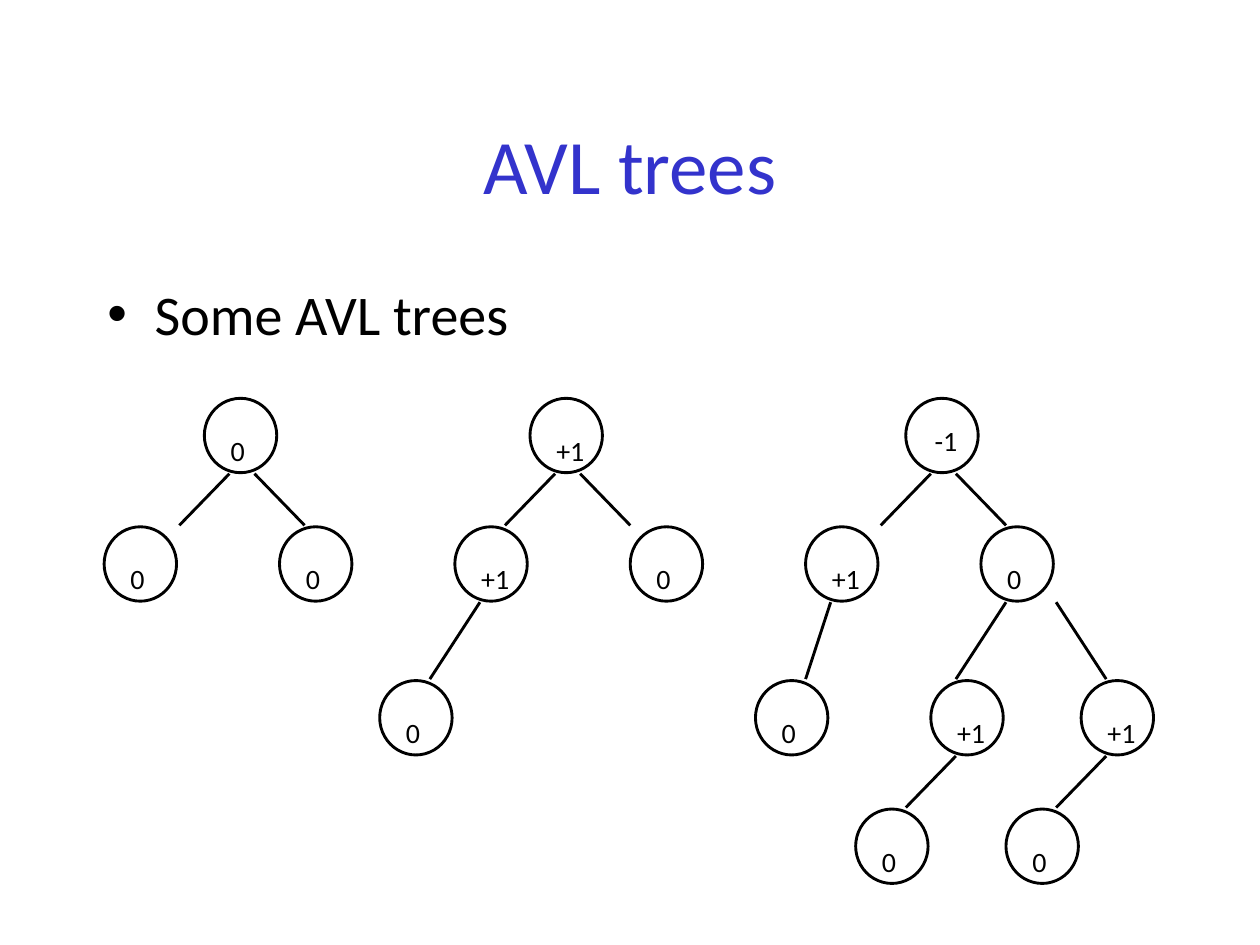
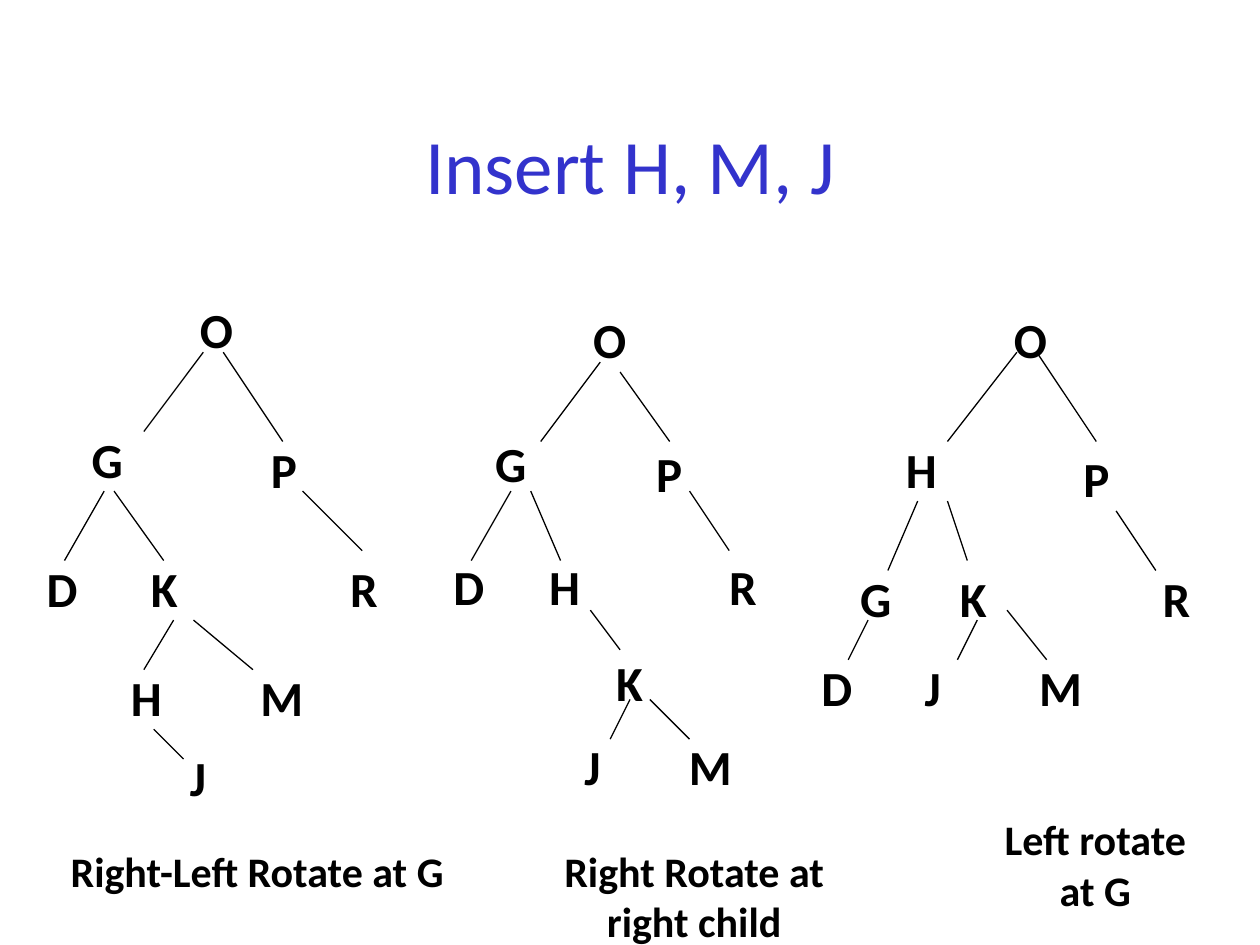
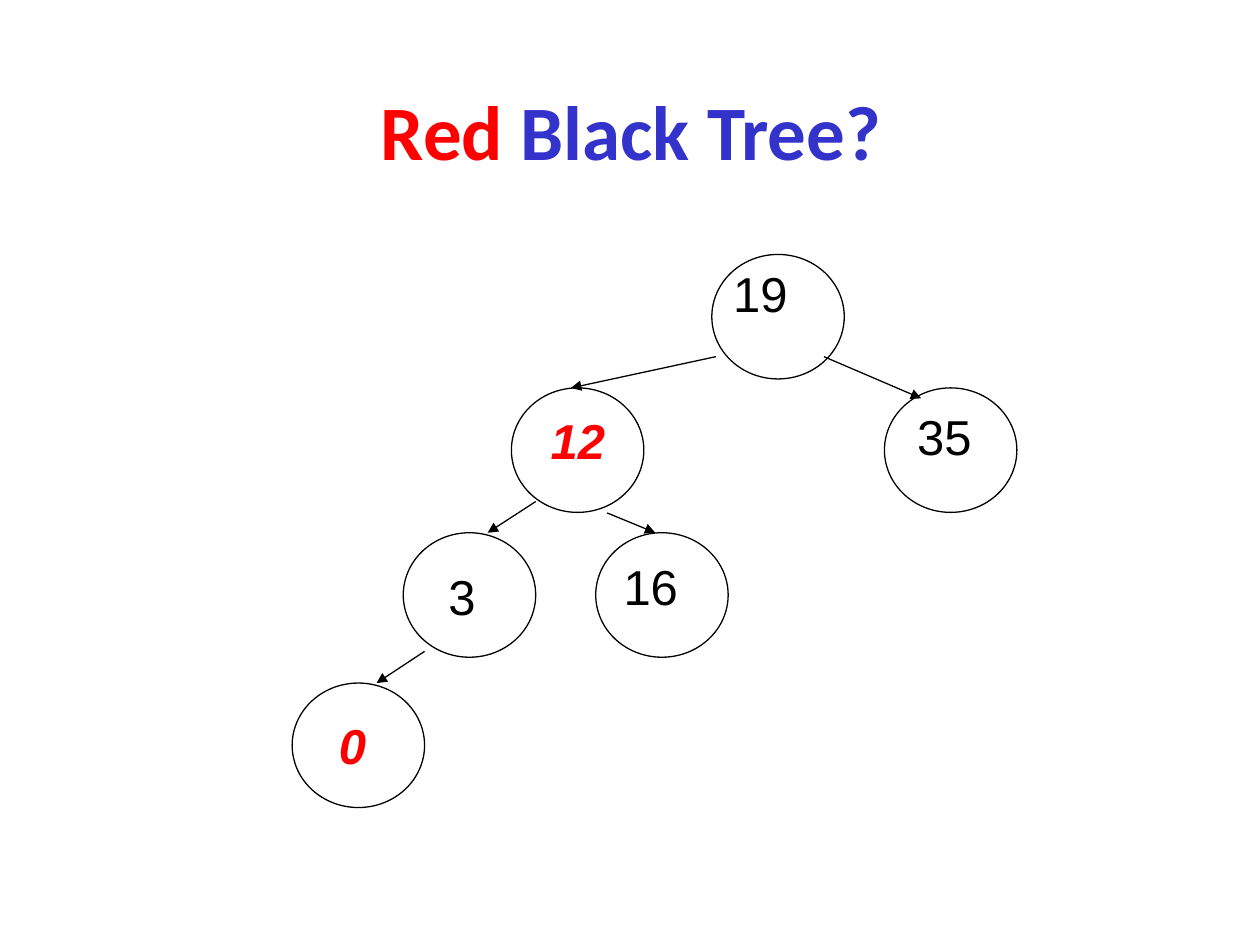
from lxml import etree
from pptx import Presentation
from pptx.dml.color import RGBColor
from pptx.enum.shapes import MSO_CONNECTOR, MSO_SHAPE
from pptx.enum.text import MSO_ANCHOR, MSO_AUTO_SIZE, PP_ALIGN
from pptx.oxml.ns import qn
from pptx.util import Cm, Pt

BLACK, WHITE, RED, BLUE = "000000", "FFFFFF", "FF0000", "3333CC"
TITLE_FONT = dict(name="Calibri", size=44, color=BLUE)
BODY_FONT = dict(name="Calibri", size=32, color=BLACK)
BALANCE_FONT = dict(name="Calibri", size=16, color=BLACK)
LETTER_FONT = dict(name="Calibri", size=28, color=BLACK, bold=True)
CAPTION_FONT = dict(LETTER_FONT, size=24)
KEY_FONT = dict(name="Arial", size=28, color=BLACK)
RED_KEY_FONT = dict(KEY_FONT, color=RED, bold=True, italic=True)

# All lengths are in centimetres.
TITLE_SIZE = (21.59, 3.18)
TITLE_AT = (1.91, 1.7)
BODY_BOX = (1.91, 5.51, 21.59, 11.43)

# Balance-factor trees: (column, label) per row, and edges as
# (upper row, column at the top, column at the bottom).
LEFT, COL_STEP = 2.1, 0.505
ROW_TOPS = [8.03, 10.62, 13.72, 16.31]
NODE_W, NODE_H = 1.46, 1.5
BALANCE_ROWS = [
    [(4, "0"), (17, "+1"), (32, "-1")],
    [(0, "0"), (7, "0"), (14, "+1"), (21, "0"), (28, "+1"), (35, "0")],
    [(11, "0"), (26, "0"), (33, "+1"), (39, "+1")],
    [(30, "0"), (36, "0")],
]
BALANCE_EDGES = [
    (0, 5, 3), (0, 6, 8), (0, 18, 16), (0, 19, 21), (0, 33, 31), (0, 34, 36),
    (1, 15, 13), (1, 29, 28), (1, 36, 34), (1, 38, 40),
    (2, 34, 32), (2, 40, 38),
]
LABEL_SHIFT = {"-1": (0.58, 0.51)}
USUAL_SHIFT = (0.53, 0.71)
LABEL_W = {"0": 0.28, "+1": 0.58, "-1": 0.46}

# Rotation steps: letters as (text, left, top), edges as (x1, y1, x2, y2).
ROTATIONS = [
    dict(
        caption=("Right-Left Rotate at G", 0.69, 16.92, 8.99, 1.27),
        box_w=1.4,
        letters=[("O", 3.78, 5.92), ("G", 1.6, 8.53), ("P", 5.21, 8.74),
                 ("D", 0.69, 11.13), ("K", 2.79, 11.13), ("R", 6.81, 11.13),
                 ("H", 2.39, 13.34), ("M", 5.0, 13.34), ("J", 3.58, 14.94)],
        edges=[(4.1, 7.1, 2.9, 8.7), (4.5, 7.1, 5.7, 8.9),
               (2.1, 9.9, 1.3, 11.3), (2.3, 9.9, 3.3, 11.3),
               (6.1, 9.9, 7.3, 11.1), (3.5, 12.5, 2.9, 13.5),
               (3.9, 12.5, 5.1, 13.5), (3.1, 14.7, 3.7, 15.3)],
    ),
    dict(
        caption=("Right Rotate at right child", 10.92, 16.92, 6.15, 2.31),
        box_w=1.28,
        letters=[("O", 11.71, 6.12), ("G", 9.73, 8.61), ("P", 12.98, 8.81),
                 ("D", 8.89, 11.1), ("H", 10.82, 11.1), ("R", 14.45, 11.1),
                 ("K", 12.17, 13.03), ("J", 11.53, 14.73), ("M", 13.64, 14.73)],
        edges=[(12.1, 7.3, 10.9, 8.9), (12.5, 7.5, 13.5, 8.9),
               (10.3, 9.9, 9.5, 11.3), (10.7, 9.9, 11.3, 11.3),
               (13.9, 9.9, 14.7, 11.1), (11.9, 12.3, 12.5, 13.1),
               (12.7, 14.1, 12.3, 14.9), (13.1, 14.1, 13.9, 14.9)],
    ),
    dict(
        caption=("Left rotate at G", 19.63, 16.28, 4.9, 2.31),
        box_w=1.4,
        letters=[("O", 20.19, 6.12), ("H", 18.01, 8.74), ("P", 21.59, 8.92),
                 ("G", 17.09, 11.33), ("K", 19.1, 11.33), ("R", 23.19, 11.33),
                 ("D", 16.31, 13.13), ("J", 18.39, 13.13), ("M", 20.7, 13.13)],
        edges=[(20.5, 7.1, 19.1, 8.9), (20.9, 7.1, 22.1, 8.9),
               (18.5, 10.1, 17.9, 11.5), (19.1, 10.1, 19.5, 11.3),
               (22.5, 10.3, 23.3, 11.5), (17.5, 12.5, 17.1, 13.3),
               (19.7, 12.5, 19.3, 13.3), (20.3, 12.3, 21.1, 13.3)],
    ),
]
LETTER_H = 1.45

# Red-black tree: key, font, circle corner, text corner.
KEY_W, KEY_H, KEY_TEXT_H = 2.67, 2.51, 2.01
KEY_TEXT_W = {1: 1.24, 2: 1.88}
KEYS = [
    ("19", KEY_FONT, (14.35, 5.13), (14.53, 5.18)),
    ("12", RED_KEY_FONT, (10.31, 7.82), (10.85, 8.15)),
    ("35", KEY_FONT, (17.83, 7.82), (18.24, 8.08)),
    ("3", KEY_FONT, (8.13, 10.74), (8.79, 11.3)),
    ("16", KEY_FONT, (12.01, 10.74), (12.32, 11.1)),
    ("0", RED_KEY_FONT, (5.89, 13.77), (6.58, 14.3)),
]
KEY_ARROWS = [
    (14.43, 7.19, 11.51, 7.82), (16.61, 7.19, 18.57, 8.03),
    (10.8, 10.11, 9.83, 10.74), (12.24, 10.34, 13.21, 10.74),
    (8.56, 13.13, 7.59, 13.77),
]


def rgb(color):
    return RGBColor.from_string(color)


def cms(*values):
    return [Cm(v) for v in values]


def set_attrs(obj, **values):
    for name, value in values.items():
        setattr(obj, name, value)


def add_run(p, text, font):
    r = p.add_run()
    r.text = text
    values = dict(font, size=Pt(font["size"]))
    r.font.color.rgb = rgb(values.pop("color"))
    set_attrs(r.font, **values)


def place(sp, left, top, width, height):
    set_attrs(sp, **dict(zip(("left", "top", "width", "height"),
                             cms(left, top, width, height))))


def new_slide(prs, layout, runs, at=TITLE_AT):
    """Add a slide whose title is made of (text, font) runs."""
    s = prs.slides.add_slide(prs.slide_layouts[layout])
    title = s.shapes.title
    place(title, *at, *TITLE_SIZE)
    title.text_frame.vertical_anchor = MSO_ANCHOR.MIDDLE
    p = title.text_frame.paragraphs[0]
    p.alignment = PP_ALIGN.CENTER
    for text, font in runs:
        add_run(p, text, font)
    return s


def add_text(s, text, box, font, wrap=True, align=PP_ALIGN.LEFT, **frame):
    tf = s.shapes.add_textbox(*cms(*box)).text_frame
    set_attrs(tf, word_wrap=wrap, auto_size=MSO_AUTO_SIZE.SHAPE_TO_FIT_TEXT, **frame)
    p = tf.paragraphs[0]
    p.alignment = align
    add_run(p, text, font)


def add_circle(s, box, weight, fill=None):
    sp = s.shapes.add_shape(MSO_SHAPE.OVAL, *cms(*box))
    sp.shadow.inherit = False
    if fill:
        sp.fill.solid()
        sp.fill.fore_color.rgb = rgb(fill)
    else:
        sp.fill.background()
    sp.line.color.rgb = rgb(BLACK)
    sp.line.width = Pt(weight)


def add_edge(s, ends, weight=0.75, arrow=False):
    line = s.shapes.add_connector(MSO_CONNECTOR.STRAIGHT, *cms(*ends))
    line.line.color.rgb = rgb(BLACK)
    line.line.width = Pt(weight)
    if arrow:
        etree.SubElement(line.line._get_or_add_ln(), qn("a:tailEnd"), type="triangle")
    etree.SubElement(line._element.spPr, qn("a:effectLst"))


def balance_slide(prs):
    s = new_slide(prs, 1, [("AVL trees", TITLE_FONT)])
    body = s.placeholders[1]
    place(body, *BODY_BOX)
    add_run(body.text_frame.paragraphs[0], "Some AVL trees", BODY_FONT)
    no_insets = dict.fromkeys(
        ("margin_left", "margin_top", "margin_right", "margin_bottom"), 0)

    def col_x(col):
        return LEFT + COL_STEP * col

    nodes = [(col_x(col), top, label)
             for top, row in zip(ROW_TOPS, BALANCE_ROWS) for col, label in row]
    for x, y, _ in nodes:
        add_circle(s, (x, y, NODE_W, NODE_H), 1.63, WHITE)
    for row, start, end in BALANCE_EDGES:
        add_edge(s, (col_x(start), ROW_TOPS[row] + 1.52,
                     col_x(end), ROW_TOPS[row + 1] - 0.03), 1.63)
    for x, y, label in nodes:
        dx, dy = LABEL_SHIFT.get(label, USUAL_SHIFT)
        add_text(s, label, (x + dx, y + dy, LABEL_W[label], 0.68),
                 BALANCE_FONT, wrap=False, **no_insets)


def rotation_slide(prs):
    s = new_slide(prs, 5, [("Insert H, M, J", TITLE_FONT)])
    for tree in ROTATIONS:
        caption, *box = tree["caption"]
        add_text(s, caption, box, CAPTION_FONT, align=PP_ALIGN.CENTER)
        for letter, x, y in tree["letters"]:
            add_text(s, letter, (x, y, tree["box_w"], LETTER_H), LETTER_FONT)
        for ends in tree["edges"]:
            add_edge(s, ends)


def red_black_slide(prs):
    bold = dict(TITLE_FONT, bold=True)
    s = new_slide(prs, 5, [("Red", dict(bold, color=RED)), (" Black Tree?", bold)],
                  at=(1.93, 1.02))
    for key, font, circle_at, text_at in KEYS:
        add_circle(s, (*circle_at, KEY_W, KEY_H), 0.75)
        add_text(s, key, (*text_at, KEY_TEXT_W[len(key)], KEY_TEXT_H), font, wrap=False)
    for ends in KEY_ARROWS:
        add_edge(s, ends, arrow=True)


def main():
    prs = Presentation()
    set_attrs(prs, slide_width=Cm(25.4), slide_height=Cm(19.05))
    for build in (balance_slide, rotation_slide, red_black_slide):
        build(prs)
    prs.save("out.pptx")


if __name__ == "__main__":
    main()
